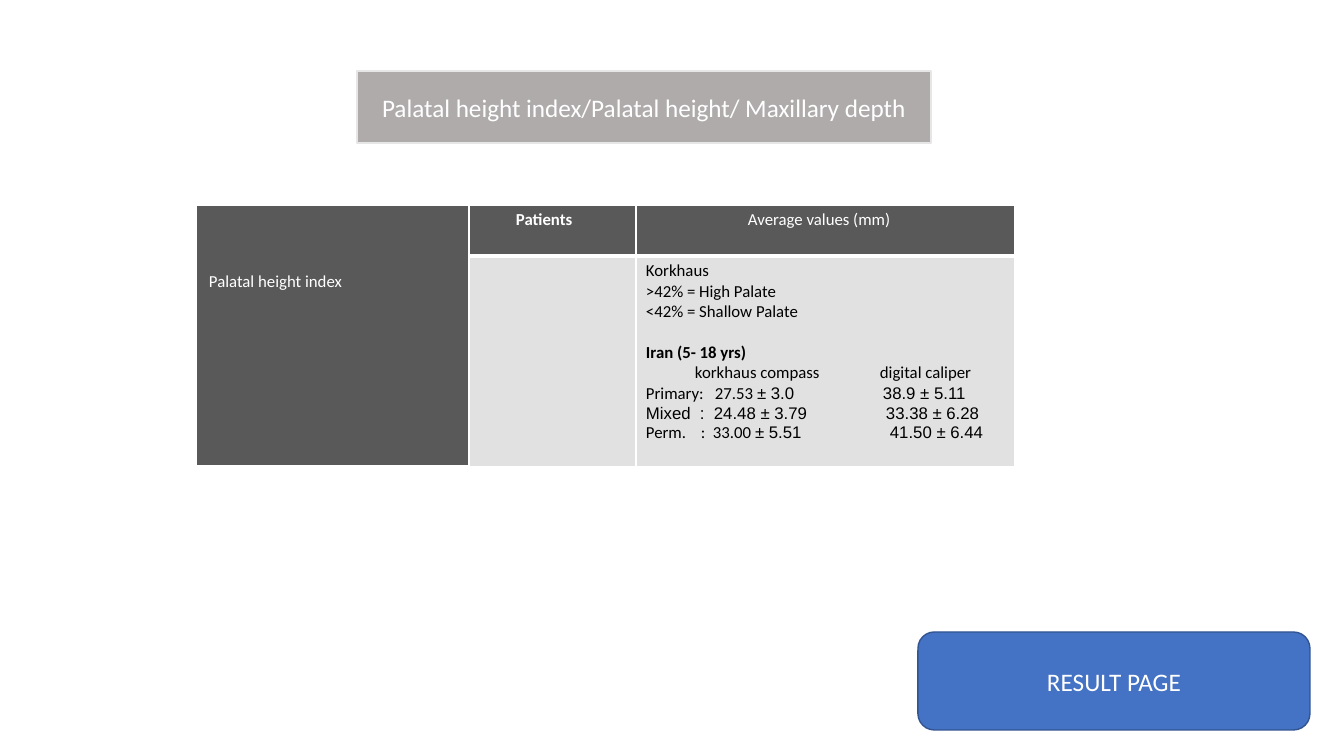
import pptx
import pptx.dml.color
import pptx.enum.shapes
import pptx.enum.text
import pptx.oxml
import pptx.oxml.ns
import pptx.util
from dataclasses import dataclass

SCALE = 914400 / 100.8  # EMU per px


@dataclass(frozen=True)
class Theme:
    white: str = "FFFFFF"
    black: str = "000000"
    title_fill: str = "AFABAB"
    title_line: str = "E7E6E6"
    button_fill: str = "4472C4"
    button_line: str = "325491"
    dark: str = "595959"
    light: str = "E1E1E1"
    font: str = "Calibri"
    number_font: str = "Arial"
    label_size: int = 18
    table_size: int = 12


THEME = Theme()


def px(length):
    return pptx.util.Emu(round(length * SCALE))


def rgb(value):
    return pptx.dml.color.RGBColor.from_string(value)


def set_values(target, values):
    for name, value in values.items():
        setattr(target, name, value)


def place(shape, box):
    set_values(shape, dict(zip(("left", "top", "width", "height"), map(px, box))))


def element(tag, **attributes):
    node = pptx.oxml.parse_xml(f"<a:{tag} {pptx.oxml.ns.nsdecls('a')}/>")
    for name, value in attributes.items():
        node.set(name, str(value))
    return node


def add_run(paragraph, text, size, color, font=THEME.font, bold=False):
    run = paragraph.add_run()
    run.text = text
    set_values(run.font, {"name": font, "size": pptx.util.Pt(size), "bold": bold})
    run.font.color.rgb = rgb(color)


# Rounded labels: title and button
def format_label(shape, text, fill, line):
    shape.fill.solid()
    shape.fill.fore_color.rgb = rgb(fill)
    shape.line.color.rgb = rgb(line)
    shape.line.width = pptx.util.Pt(1)
    shape.shadow.inherit = False
    set_values(shape.text_frame, {
        "word_wrap": True,
        "auto_size": pptx.enum.text.MSO_AUTO_SIZE.NONE,
        "vertical_anchor": pptx.enum.text.MSO_ANCHOR.MIDDLE,
    })
    paragraph = shape.text_frame.paragraphs[0]
    paragraph.alignment = pptx.enum.text.PP_ALIGN.CENTER
    add_run(paragraph, text, THEME.label_size, THEME.white)


def build_title(slide, box):
    title = slide.shapes.title
    place(title, box)
    title._element.spPr.append(element("prstGeom", prst="roundRect"))
    format_label(title, "Palatal height index/Palatal height/ Maxillary depth",
                 THEME.title_fill, THEME.title_line)


def build_button(slide, box):
    button = slide.shapes.add_shape(
        pptx.enum.shapes.MSO_SHAPE.ROUNDED_RECTANGLE, *map(px, box))
    format_label(button, "RESULT PAGE", THEME.button_fill, THEME.button_line)


# Table cells
def format_cell(cell, fill, bottom=1, left=10, top=5):
    set_values(cell, {"margin_left": px(left), "margin_top": px(top)})
    cell.fill.solid()
    cell.fill.fore_color.rgb = rgb(fill)
    properties = cell._tc.get_or_add_tcPr()
    for index, (side, points) in enumerate(
            (("lnL", 1), ("lnR", 1), ("lnT", 1), ("lnB", bottom))):
        border = element(side, w=pptx.util.Pt(points))
        solid = element("solidFill")
        solid.append(element("srgbClr", val=THEME.white))
        border.append(solid)
        properties.insert(index, border)


def add_tabs(paragraph, stops):
    tab_list = element("tabLst")
    for stop in stops:
        tab_list.append(element("tab", pos=px(stop), algn="l"))
    paragraph._p.get_or_add_pPr().append(tab_list)


def fill_averages(cell):
    plain, number = THEME.font, THEME.number_font
    # Tab stops, then runs of text and font
    lines = [
        ((), [("Korkhaus", plain)]),
        ((), [(">42% = High Palate", plain)]),
        ((), [("<42% = Shallow Palate", plain)]),
        ((), [("Iran (5- 18 yrs)", plain)]),
        ((49, 234), [("\tkorkhaus compass\tdigital caliper", plain)]),
        ((69, 237), [("Primary:\t27.53 ", plain), ("± 3.0\t38.9 ± 5.11", number)]),
        ((54, 68, 240), [("Mixed\t:\t24.48 ± 3.79\t33.38 ± 6.28", number)]),
        ((55, 67, 244), [("Perm.\t:\t33.00 ", plain),
                         ("± 5.51\t41.50 ± 6.44", number)]),
    ]
    frame = cell.text_frame
    for index, (stops, runs) in enumerate(lines):
        paragraph = frame.add_paragraph() if index else frame.paragraphs[0]
        is_heading = runs[0][0].startswith("Iran")
        if is_heading:
            paragraph.space_before = px(20)
        if stops:
            add_tabs(paragraph, stops)
        for text, font in runs:
            add_run(paragraph, text, THEME.table_size, THEME.black, font, is_heading)


def build_table(slide, box):
    column_widths, row_heights = (273, 167, 379), (51, 211)
    table = slide.shapes.add_table(2, 3, *map(px, box)).table
    for column, width in zip(table.columns, column_widths):
        column.width = px(width)
    for row, height in zip(table.rows, row_heights):
        row.height = px(height)

    # Dark header cells: text, bold, left and top margins
    headers = [("Palatal height index", False, 13, 67),
               ("Patients", True, 47, 5),
               ("Average values (mm)", False, 112, 5)]
    for index, (text, bold, left, top) in enumerate(headers):
        cell = table.cell(0, index)
        format_cell(cell, THEME.dark, bottom=3, left=left, top=top)
        add_run(cell.text_frame.paragraphs[0], text, THEME.table_size,
                THEME.white, bold=bold)

    # Second row; the row label spans both rows
    for index, fill in enumerate((THEME.dark, THEME.light, THEME.light)):
        format_cell(table.cell(1, index), fill)
    table.cell(0, 0).merge(table.cell(1, 0))
    fill_averages(table.cell(1, 2))


def main():
    presentation = pptx.Presentation()
    set_values(presentation, {"slide_width": px(1344), "slide_height": px(756)})
    slide = presentation.slides.add_slide(presentation.slide_layouts[5])
    build_title(slide, (357, 71, 574, 72))
    build_button(slide, (918, 632, 392, 98))
    build_table(slide, (196, 205, 819, 262))
    presentation.save("out.pptx")


if __name__ == "__main__":
    main()
